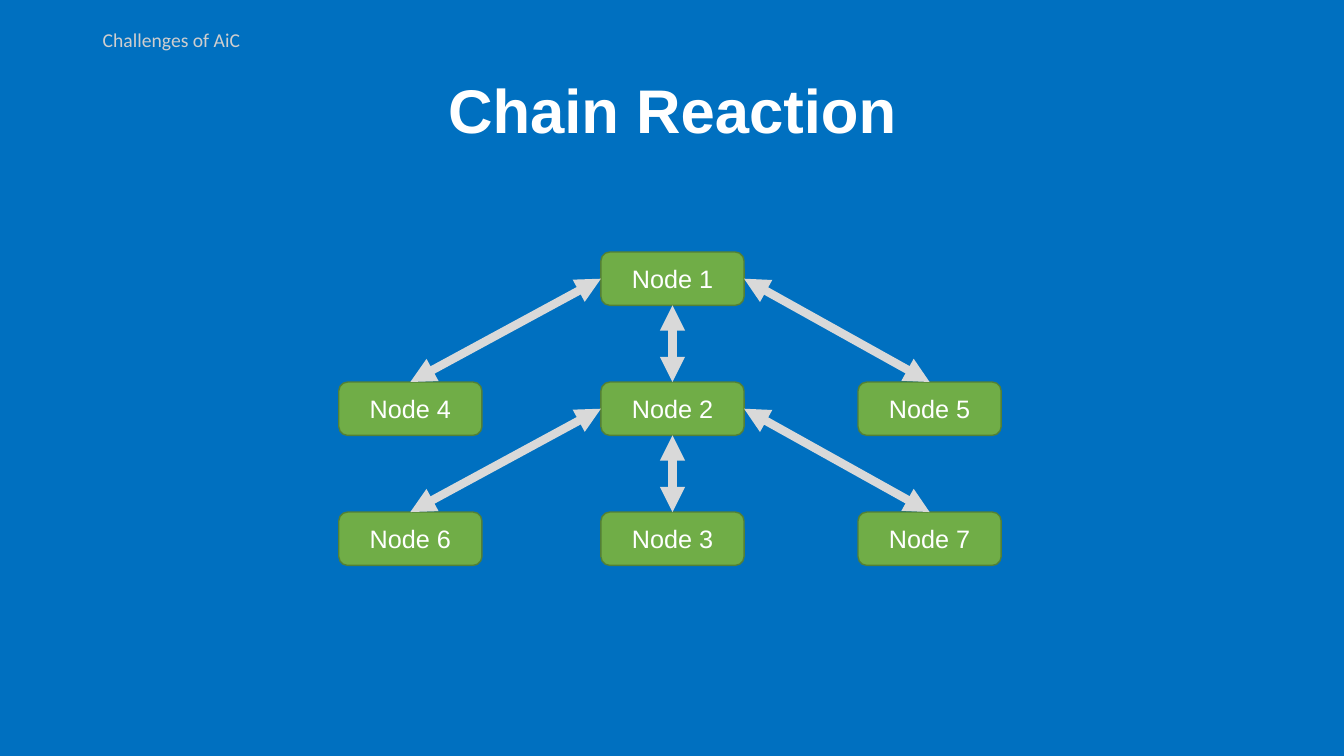
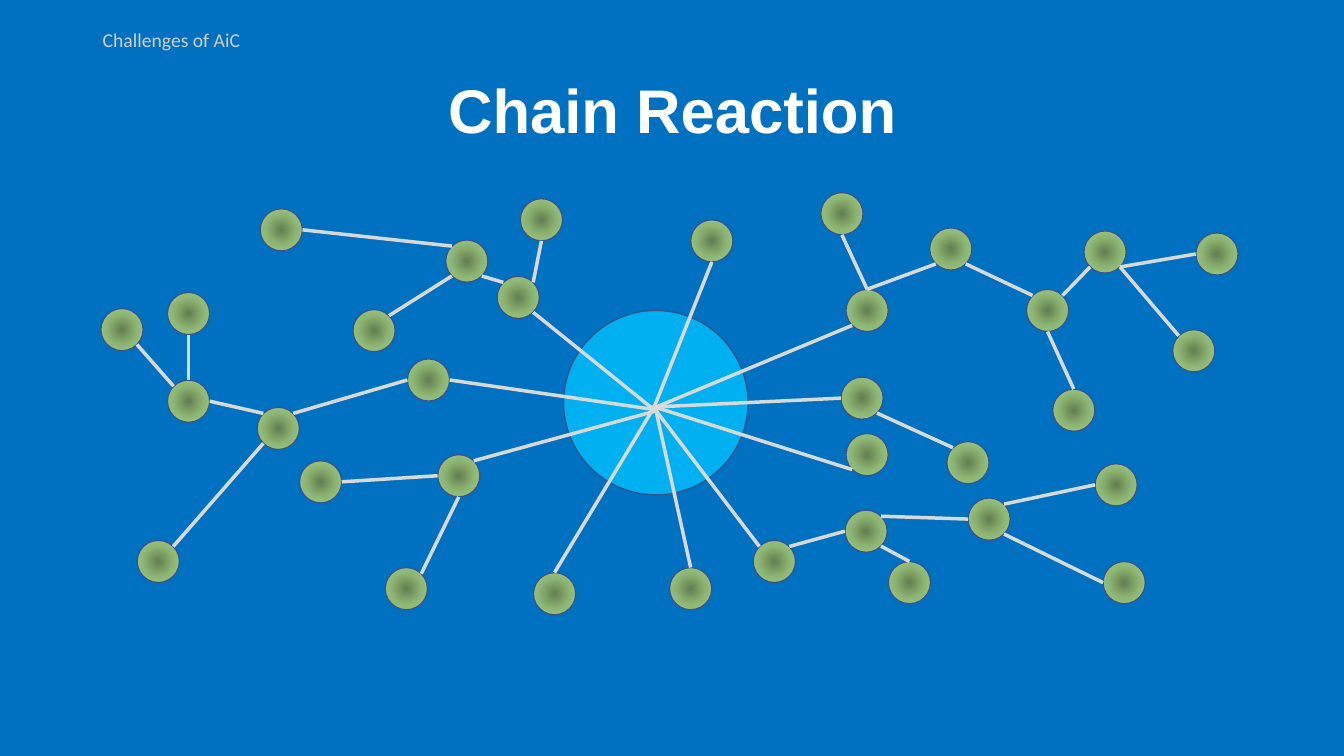
from math import cos, radians, sin

from lxml.etree import SubElement
from pptx import Presentation
from pptx.dml.color import RGBColor
from pptx.enum.shapes import MSO_CONNECTOR as Link, MSO_SHAPE as Preset
from pptx.enum.text import MSO_ANCHOR as Anchor, PP_ALIGN as Align
from pptx.oxml.ns import qn
from pptx.util import Inches, Pt

# Shared look
BACKGROUND, WHITE, CAPTION = "0070C0", "FFFFFF", "D0CECE"
LINK = "D9D9D9"
BOX_FILL, BOX_LINE = "70AD47", "538035"
HUB_FILL, CIRCLE_LINE = "00B0F0", "325491"
NODE_GRADIENT = [(0, "637F51"), (50, "8DB473"), (100, "A8D689")]

# Tree: name -> (column, row), then links with connection sites
TOP, LEFT, BOTTOM, RIGHT = range(4)
TREE_COLUMNS, TREE_ROW_STEP = (0, 2.6, 5.15), 1.29
BOX_SIZE = (1.42, 0.53)
TREE_NODES = {
    "Node 1": (1, 0), "Node 4": (0, 1), "Node 2": (1, 1), "Node 5": (2, 1),
    "Node 6": (0, 2), "Node 3": (1, 2), "Node 7": (2, 2),
}
TREE_LINKS = [
    ("Node 1", BOTTOM, "Node 2", TOP), ("Node 2", BOTTOM, "Node 3", TOP),
    ("Node 6", TOP, "Node 2", LEFT), ("Node 2", RIGHT, "Node 7", TOP),
    ("Node 4", TOP, "Node 1", LEFT), ("Node 1", RIGHT, "Node 5", TOP),
]

# Network: one letter per branch, clockwise from the top; left and top in its box
NODE_SIZE, HUB_SIZE, HUB_AT = 0.42, 1.83, (4.59, 1.18)
NETWORK_NODES = {
    "A1": (5.85, 0.28),
    "B1": (7.39, 0.97), "B2": (7.14, 0.01), "B3": (8.22, 0.36), "B4": (9.18, 0.97),
    "B5": (9.44, 1.96), "B6": (9.75, 0.39), "B7": (10.63, 1.37), "B8": (10.86, 0.41),
    "C1": (7.34, 1.84), "C2": (8.39, 2.48),
    "D1": (7.39, 2.4),
    "E1": (6.47, 3.46), "E2": (7.38, 3.16), "E3": (7.81, 3.67),
    "E4": (8.6, 3.04), "E5": (9.86, 2.7), "E6": (9.94, 3.67),
    "F1": (5.64, 3.73),
    "G1": (4.29, 3.78),
    "H1": (3.34, 2.61), "H2": (1.97, 2.67), "H3": (2.82, 3.73),
    "J1": (3.04, 1.66), "J2": (1.55, 2.14), "J3": (0.66, 1.87),
    "J4": (0.66, 1), "J5": (0, 1.16), "J6": (0.36, 3.46),
    "K1": (3.93, 0.84), "K2": (4.16, 0.07), "K3": (3.42, 0.48),
    "K4": (2.5, 1.17), "K5": (1.58, 0.17),
}
# Spokes: node, side, and the end inside the hub
SPOKES = [
    ("J1", "E", 5.47, 2.16), ("K1", "SE", 5.48, 2.16), ("A1", "S", 5.48, 2.16),
    ("B1", "SW", 5.48, 2.15), ("C1", "W", 5.44, 2.14), ("D1", "SW", 5.5, 2.14),
    ("H1", "NE", 5.53, 2.17), ("G1", "N", 5.5, 2.12), ("F1", "N", 5.51, 2.19),
    ("E1", "NW", 5.48, 2.14),
]
NETWORK_LINKS = [
    ("K5", "E", "K3", "NW"), ("K3", "SE", "K1", "NW"), ("K2", "S", "K1", "NE"),
    ("K4", "NE", "K3", "SW"), ("J2", "NE", "J1", "W"), ("J3", "E", "J2", "NW"),
    ("J4", "S", "J3", "N"), ("J5", "SE", "J3", "NW"), ("J6", "NE", "J2", "SW"),
    ("H2", "E", "H1", "W"), ("H3", "NE", "H1", "S"), ("E2", "SE", "E3", "N"),
    ("E2", "W", "E1", "NE"), ("E4", "W", "E2", "NE"), ("E5", "W", "E4", "NE"),
    ("E6", "W", "E4", "SE"), ("B2", "S", "B1", "N"), ("B3", "SW", "B1", "N"),
    ("B4", "NW", "B3", "SE"), ("B5", "N", "B4", "S"), ("B6", "SW", "B4", "NE"),
    ("B7", "NW", "B6", "SE"), ("B8", "W", "B6", "SE"), ("C2", "NW", "C1", "SE"),
]
SIDES = ["E", "SE", "S", "SW", "W", "NW", "N", "NE"]


def paint(target, color):
    """Give a fill, or the fill of a line, one solid colour."""
    target.solid()
    target.fore_color.rgb = RGBColor.from_string(color)


def add_text(para, text, size, color, font="Arial", bold=False):
    span = para.add_run()
    span.text = text
    span.font.size, span.font.name, span.font.bold = Pt(size), font, bold
    span.font.color.rgb = RGBColor.from_string(color)


def add_shape(slide, preset, left, top, width, height, line):
    shape = slide.shapes.add_shape(
        preset, Inches(left), Inches(top), Inches(width), Inches(height))
    shape.shadow.inherit = False
    paint(shape.line.fill, line)
    shape.line.width = Pt(1)
    return shape


def add_link(slide, start, end, width):
    link = slide.shapes.add_connector(
        Link.STRAIGHT, *(Inches(value) for value in (*start, *end)))
    paint(link.line.fill, LINK)
    link.line.width = Pt(width)
    SubElement(link._element.spPr, qn("a:effectLst"))
    return link


def add_arrowheads(link):
    line = link.line._get_or_add_ln()
    for end in ("a:headEnd", "a:tailEnd"):
        SubElement(line, qn(end), type="triangle")


def fill_from_centre(shape, stops):
    """Fill a shape with a circular gradient that starts at its centre."""
    shape.fill.background()
    blank = shape._element.spPr.find(qn("a:noFill"))
    gradient = SubElement(shape._element.spPr, qn("a:gradFill"), rotWithShape="1")
    blank.getparent().replace(blank, gradient)
    stop_list = SubElement(gradient, qn("a:gsLst"))
    for percent, color in stops:
        stop = SubElement(stop_list, qn("a:gs"), pos=str(percent * 1000))
        SubElement(stop, qn("a:srgbClr"), val=color)
    circle = SubElement(gradient, qn("a:path"), path="circle")
    SubElement(circle, qn("a:fillToRect"), l="50000", t="50000", r="50000", b="50000")


def add_page(deck, title, caption):
    """Add a slide with the shared background, title and caption."""
    slide = deck.slides.add_slide(deck.slide_layouts[6])
    paint(slide.background.fill, BACKGROUND)

    # Title
    box = slide.shapes.add_textbox(Inches(0.92), Inches(0.4), Inches(11.5), Inches(1.45))
    box.text_frame.word_wrap = True
    box.text_frame.vertical_anchor = Anchor.MIDDLE
    para = box.text_frame.paragraphs[0]
    para.alignment, para.line_spacing = Align.CENTER, 0.9
    add_text(para, title, 44, WHITE, bold=True)

    # Caption
    box = slide.shapes.add_textbox(Inches(0.92), Inches(0.23), Inches(1.58), Inches(0.34))
    box.text_frame.word_wrap = False
    add_text(box.text_frame.paragraphs[0], caption, 14, CAPTION, "Calibri")
    return slide


def draw_tree(slide, left, top):
    # Boxes
    boxes = {}
    for name, (column, row) in TREE_NODES.items():
        box = add_shape(slide, Preset.ROUNDED_RECTANGLE, left + TREE_COLUMNS[column],
                        top + row * TREE_ROW_STEP, *BOX_SIZE, BOX_LINE)
        paint(box.fill, BOX_FILL)
        box.text_frame.vertical_anchor = Anchor.MIDDLE
        para = box.text_frame.paragraphs[0]
        para.alignment = Align.CENTER
        add_text(para, name, 18, WHITE)
        boxes[name] = box

    # Double arrows
    for first, first_site, second, second_site in TREE_LINKS:
        link = add_link(slide, (left, top), (left, top), 6)
        link.begin_connect(boxes[first], first_site)
        link.end_connect(boxes[second], second_site)
        add_arrowheads(link)


def draw_network(slide, left, top):
    def rim(name, side):
        """Point on the edge of a node, on the given compass side."""
        x, y = NETWORK_NODES[name]
        angle, radius = radians(45 * SIDES.index(side)), NODE_SIZE / 2
        return (left + x + radius * (1 + cos(angle)),
                top + y + radius * (1 + sin(angle)))

    # Hub
    hub = add_shape(slide, Preset.OVAL, left + HUB_AT[0], top + HUB_AT[1],
                    HUB_SIZE, HUB_SIZE, CIRCLE_LINE)
    paint(hub.fill, HUB_FILL)

    # Nodes
    for x, y in NETWORK_NODES.values():
        node = add_shape(slide, Preset.OVAL, left + x, top + y,
                         NODE_SIZE, NODE_SIZE, CIRCLE_LINE)
        fill_from_centre(node, NODE_GRADIENT)

    # Spokes and links
    for name, side, x, y in SPOKES:
        add_link(slide, rim(name, side), (left + x, top + y), 2.5)
    for first, first_side, second, second_side in NETWORK_LINKS:
        add_link(slide, rim(first, first_side), rim(second, second_side), 2.5)


def main():
    deck = Presentation()
    deck.slide_width, deck.slide_height = Inches(13.33), Inches(7.5)
    for draw, left, top in ((draw_tree, 3.36, 2.5), (draw_network, 1, 1.9)):
        draw(add_page(deck, "Chain Reaction", "Challenges of AiC"), left, top)
    deck.save("out.pptx")


if __name__ == "__main__":
    main()
